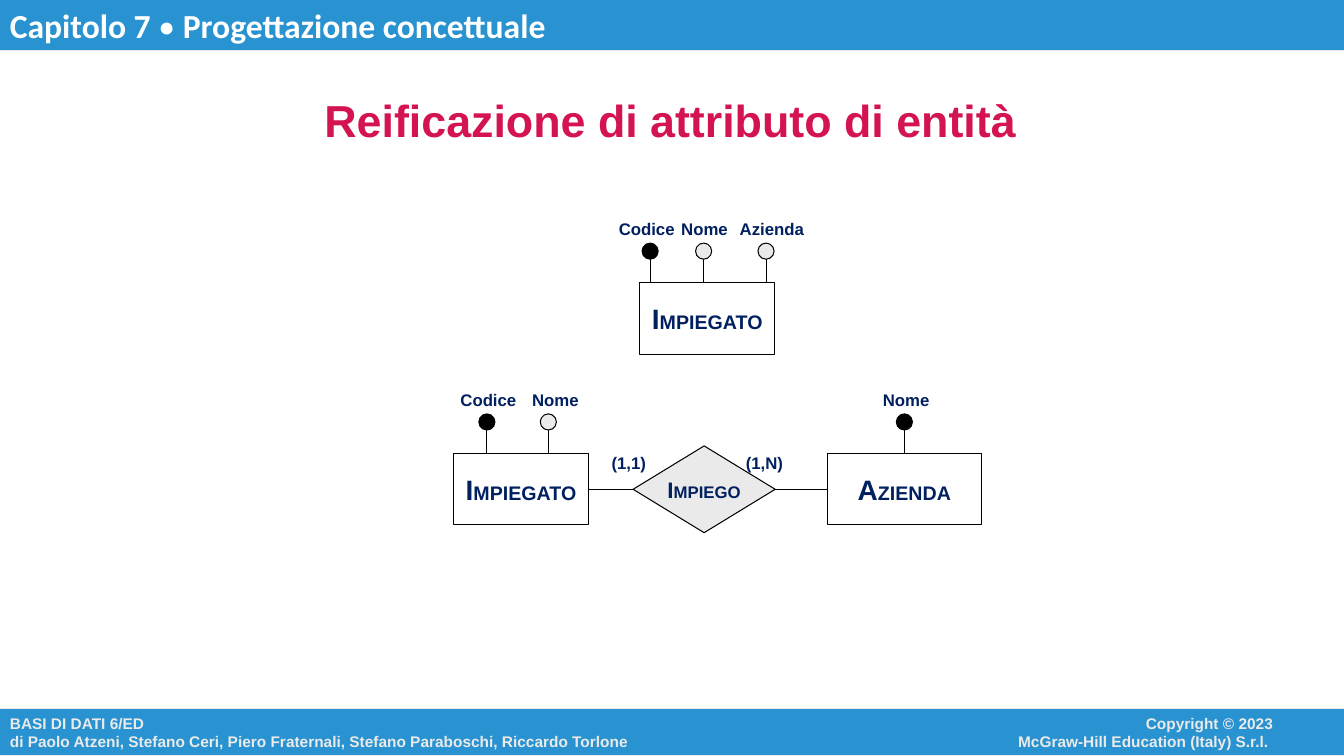
from lxml import etree
from pptx import Presentation
from pptx.dml.color import RGBColor
from pptx.enum.shapes import MSO_CONNECTOR, MSO_SHAPE
from pptx.enum.text import MSO_ANCHOR, PP_ALIGN
from pptx.oxml.ns import qn
from pptx.util import Pt

RECT, OVAL, DIAMOND = MSO_SHAPE.RECTANGLE, MSO_SHAPE.OVAL, MSO_SHAPE.DIAMOND
STRAIGHT = MSO_CONNECTOR.STRAIGHT
TOP, MIDDLE = MSO_ANCHOR.TOP, MSO_ANCHOR.MIDDLE
LEFT, CENTER, RIGHT = PP_ALIGN.LEFT, PP_ALIGN.CENTER, PP_ALIGN.RIGHT

BLUE = RGBColor(0x29, 0x93, 0xD1)
GREY = RGBColor(0xEA, 0xEA, 0xEA)
WHITE = RGBColor(0xFF, 0xFF, 0xFF)
BLACK = RGBColor(0, 0, 0)
NAVY = RGBColor(0x00, 0x20, 0x60)
CRIMSON = RGBColor(0xD4, 0x14, 0x50)

prs = Presentation()
prs.slide_width, prs.slide_height = Pt(960), Pt(540)
s = prs.slides.add_slide(prs.slide_layouts[6])


def add_item(kind, box, lines=(), fill=None, line=BLACK, width=0.75,
             align=CENTER, anchor=MIDDLE, wrap=False):
    """Add a shape, or a text box if kind is None; lines hold (text, format) runs."""
    box = [Pt(v) for v in box]
    if kind is None:
        sp = s.shapes.add_textbox(*box)
    else:
        sp = s.shapes.add_shape(kind, *box)
        sp.shadow.inherit = False
        sp.line.color.rgb = line
        sp.line.width = Pt(width)
        if fill is None:
            sp.fill.background()
        else:
            sp.fill.solid()
            sp.fill.fore_color.rgb = fill
    tf = sp.text_frame
    tf.word_wrap = wrap
    tf.vertical_anchor = anchor
    for i, runs in enumerate(lines):
        p = tf.add_paragraph() if i else tf.paragraphs[0]
        p.alignment = align
        for text, fmt in runs:
            r = p.add_run()
            r.text = text
            r.font.color.rgb = fmt["color"]
            for name, value in fmt.items():
                if name != "color":
                    setattr(r.font, name, value)
    return sp


def add_line(x1, y1, x2, y2):
    c = s.shapes.add_connector(STRAIGHT, Pt(x1), Pt(y1), Pt(x2), Pt(y2))
    c.line.color.rgb = BLACK
    c.line.width = Pt(0.75)
    etree.SubElement(c._element.spPr, qn("a:effectLst"))
    return c


def_font = {"name": "Arial", "bold": True}
footer_font = {**def_font, "size": Pt(11), "color": GREY}
header_font = {"name": "Calibri", "bold": True, "size": Pt(24), "color": WHITE}
title_font = {**def_font, "size": Pt(32), "color": CRIMSON}
big, medium, small, label = (
    {**def_font, "size": Pt(size), "color": NAVY} for size in (20, 16, 14, 12))

# Header, footer and title
add_item(RECT, (0, 506.2, 960.5, 33.8),
         [[("BASI DI DATI 6/ED", footer_font)],
          [("di Paolo Atzeni, Stefano Ceri, Piero Fraternali, "
            "Stefano Paraboschi, Riccardo Torlone", footer_font)]],
         fill=BLUE, line=GREY, align=LEFT)
add_item(None, (640, 506.2, 276.5, 33),
         [[("Copyright © 2023", footer_font)],
          [("McGraw-Hill Education (Italy) S.r.l. ", footer_font)]],
         align=RIGHT, anchor=TOP, wrap=True)
add_item(RECT, (0, 0, 960.5, 36),
         [[("Capitolo 7 ", header_font), ("•", {**header_font, "bold": False}),
           (" Progettazione concettuale", header_font)]],
         fill=BLUE, line=GREY, width=0, align=LEFT, anchor=TOP, wrap=True)
add_item(None, (111.6, 71.3, 735, 28),
         [[("Reificazione di attributo di entità", title_font)]], wrap=True)

# Entities: initial, rest, left, top, width,
# attributes (name, stem x, label left, label width, dot fill)
ENTITY_H, STEM, DOT, LABEL_RISE, LABEL_H = 51, 22.6, 11.5, 49, 21.6
entities = [
    ("I", "MPIEGATO", 457, 202, 96.5,
     [("Codice", 464.4, 434.9, 57, BLACK), ("Nome", 502.6, 479.5, 50, GREY),
      ("Azienda", 547.2, 521.3, 63, GREY)]),
    ("I", "MPIEGATO", 324, 324, 96.5,
     [("Codice", 347.8, 321.8, 57, BLACK), ("Nome", 391.7, 373, 50, GREY)]),
    ("A", "ZIENDA", 591, 324, 110, [("Nome", 646, 623.5, 50, BLACK)]),
]
boxes = []
for initial, rest, left, top, width, attributes in entities:
    entity = add_item(RECT, (left, top, width, ENTITY_H),
                      [[(initial, big), (rest, small)]])
    boxes.append(entity)
    for name, x, label_left, label_width, fill in attributes:
        dot_y = top - STEM
        stem = add_line(x, dot_y, x, top)
        if x == left + width / 2:
            stem.end_connect(entity, 0)
        add_item(OVAL, (x - DOT / 2, dot_y - DOT / 2, DOT, DOT), fill=fill)
        add_item(None, (label_left, top - LABEL_RISE, label_width, LABEL_H),
                 [[(name, label)]], align=LEFT, anchor=TOP)

# Relationship between the lower entities
employment = add_item(DIAMOND, (452.2, 318.5, 101.5, 62),
                      [[("I", medium), ("MPIEGO", label)]], fill=GREY)
for entity, diamond_side, entity_side in ((boxes[1], 1, 3), (boxes[2], 3, 1)):
    link = add_line(0, 0, 0, 0)
    link.begin_connect(employment, diamond_side)
    link.end_connect(entity, entity_side)
for text, left, width in (("(1,1)", 429.8, 41), ("(1,N)", 525.6, 43)):
    add_item(None, (left, 319.7, width, LABEL_H), [[(text, label)]],
             align=LEFT, anchor=TOP)

prs.save("out.pptx")
